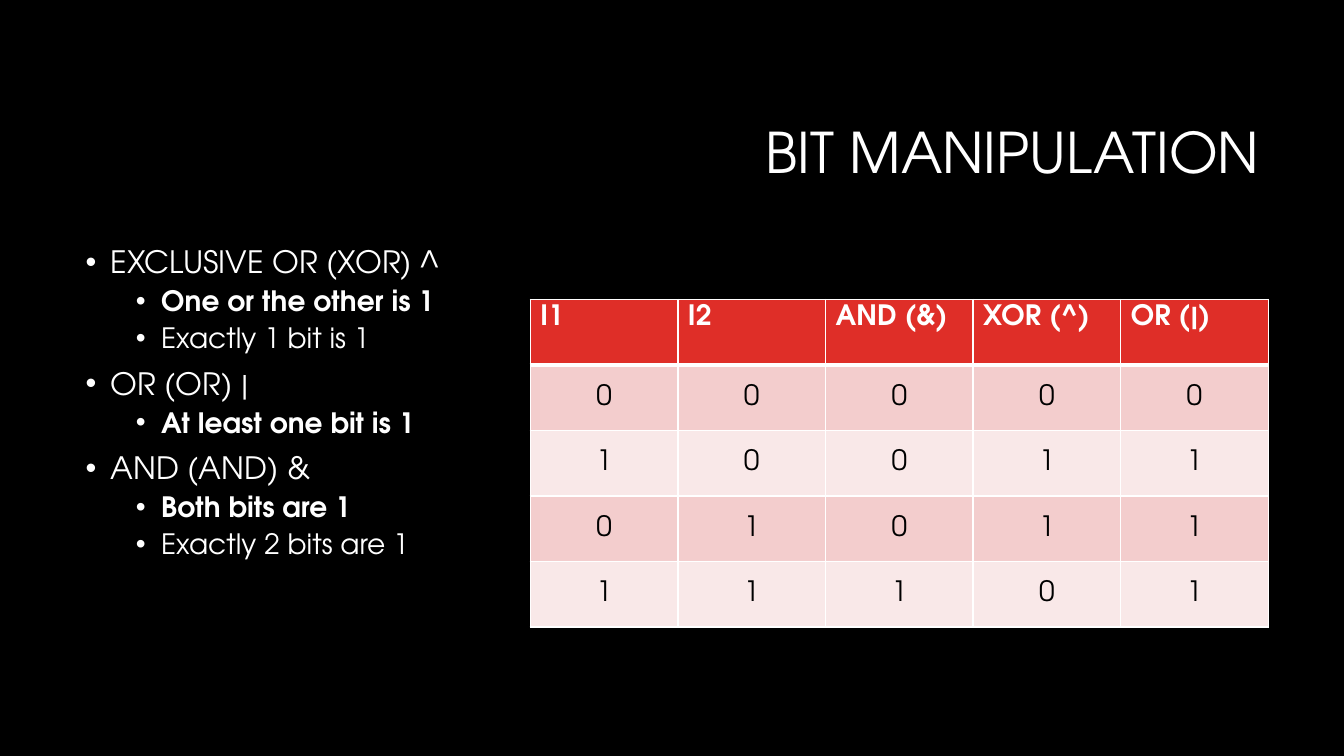
"""Build the bit manipulation slide with its truth table."""
from lxml import etree
from pptx import Presentation
from pptx.dml.color import RGBColor
from pptx.enum import text as tx
from pptx.oxml import ns
from pptx.util import Inches, Pt

TITLE = "BIT MANIPULATION"
NOTES = [
    ("EXCLUSIVE OR (XOR) ^", 0, False),
    ("One or the other is 1", 1, True),
    ("Exactly 1 bit is 1", 1, False),
    ("OR (OR) |", 0, False),
    ("At least one bit is 1", 1, True),
    ("AND (AND) &", 0, False),
    ("Both bits are 1", 1, True),
    ("Exactly 2 bits are 1", 1, False),
]
TABLE = [
    ("I1", "I2", "AND (&)", "XOR (^)", "OR (|)"),
    (0, 0, 0, 0, 0),
    (1, 0, 0, 1, 1),
    (0, 1, 0, 1, 1),
    (1, 1, 1, 0, 1),
]

FONT = "TeX Gyre Adventor"
BLACK = RGBColor(0x00, 0x00, 0x00)
WHITE = RGBColor(0xFF, 0xFF, 0xFF)
RED = RGBColor(0xDF, 0x2E, 0x28)
BANDS = [RGBColor(0xF9, 0xE8, 0xE8), RGBColor(0xF3, 0xCD, 0xCD)]


def style(par, size, color, bold=False):
    font = par.font
    font.name, font.size, font.bold = FONT, Pt(size), bold
    font.color.rgb = color


def bullet(par, left):
    props = par._p.get_or_add_pPr()
    props.set("marL", str(Inches(left)))
    props.set("indent", str(Inches(-0.25)))
    face = etree.SubElement(props, ns.qn("a:buFont"))
    face.set("typeface", "Arial")
    etree.SubElement(props, ns.qn("a:buChar")).set("char", "•")


def border(cell, side, width):
    line = etree.SubElement(cell._tc.get_or_add_tcPr(), ns.qn("a:ln" + side))
    line.set("w", str(Pt(width)))
    fill = etree.SubElement(line, ns.qn("a:solidFill"))
    etree.SubElement(fill, ns.qn("a:srgbClr")).set("val", str(WHITE))


def add_title(slide):
    title = slide.shapes.title
    title.left, title.top = Inches(3.17), Inches(0.84)
    title.width, title.height = Inches(9.42), Inches(1.41)
    frame = title.text_frame
    frame.text = TITLE
    frame.vertical_anchor = tx.MSO_ANCHOR.MIDDLE
    par = frame.paragraphs[0]
    par.alignment = tx.PP_ALIGN.RIGHT
    par.line_spacing = 0.9
    style(par, 40, WHITE)


def add_notes(slide):
    box = slide.shapes.add_textbox(
        Inches(0.75), Inches(2.4), Inches(11.83), Inches(4.4))
    frame = box.text_frame
    frame.word_wrap = True
    frame._txBody.bodyPr.set("numCol", "2")
    for i, (words, level, bold) in enumerate(NOTES):
        par = frame.add_paragraph() if i else frame.paragraphs[0]
        par.text, par.level = words, level
        bullet(par, 0.25 + 0.5 * level)
        par.line_spacing = 0.9
        if i:
            par.space_before = Pt(5 if level else 10)
        style(par, 20 if level else 22, WHITE, bold)


def add_grid(slide):
    rows, cols = len(TABLE), len(TABLE[0])
    grid = slide.shapes.add_table(
        rows, cols, Inches(5.26), Inches(2.97),
        Inches(7.32), Inches(3.25)).table
    for r, row in enumerate(TABLE):
        for c, value in enumerate(row):
            head = r == 0
            cell = grid.cell(r, c)
            for side in "LRTB":
                joint = (head and side == "B") or (r == 1 and side == "T")
                border(cell, side, 3 if joint else 1)
            cell.fill.solid()
            cell.fill.fore_color.rgb = RED if head else BANDS[r % 2]
            cell.text = str(value)
            par = cell.text_frame.paragraphs[0]
            if not head:
                cell.vertical_anchor = tx.MSO_ANCHOR.MIDDLE
                par.alignment = tx.PP_ALIGN.CENTER
            style(par, 20, WHITE if head else BLACK, head)


def main():
    deck = Presentation()
    deck.slide_width, deck.slide_height = Inches(13.33), Inches(7.5)
    slide = deck.slides.add_slide(deck.slide_layouts[5])
    back = slide.background.fill
    back.solid()
    back.fore_color.rgb = BLACK
    add_title(slide)
    add_notes(slide)
    add_grid(slide)
    deck.save("out.pptx")


if __name__ == "__main__":
    main()
